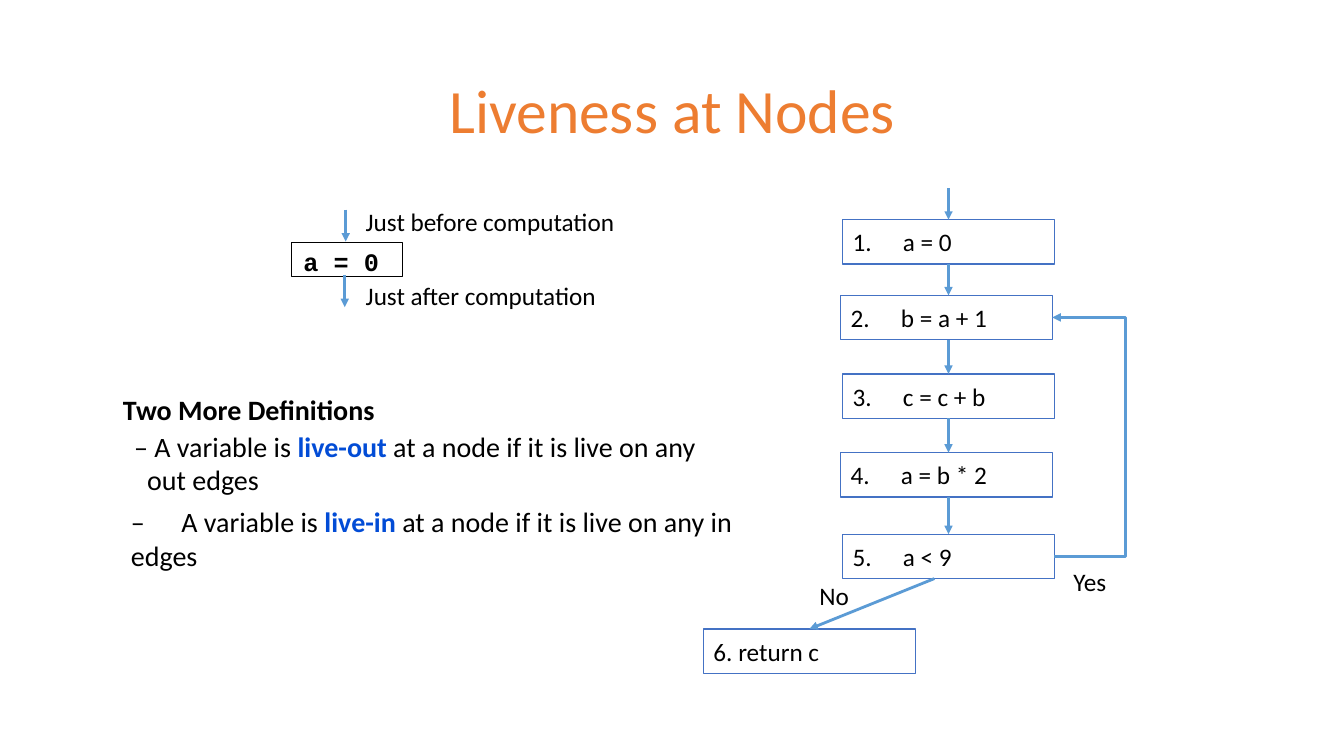
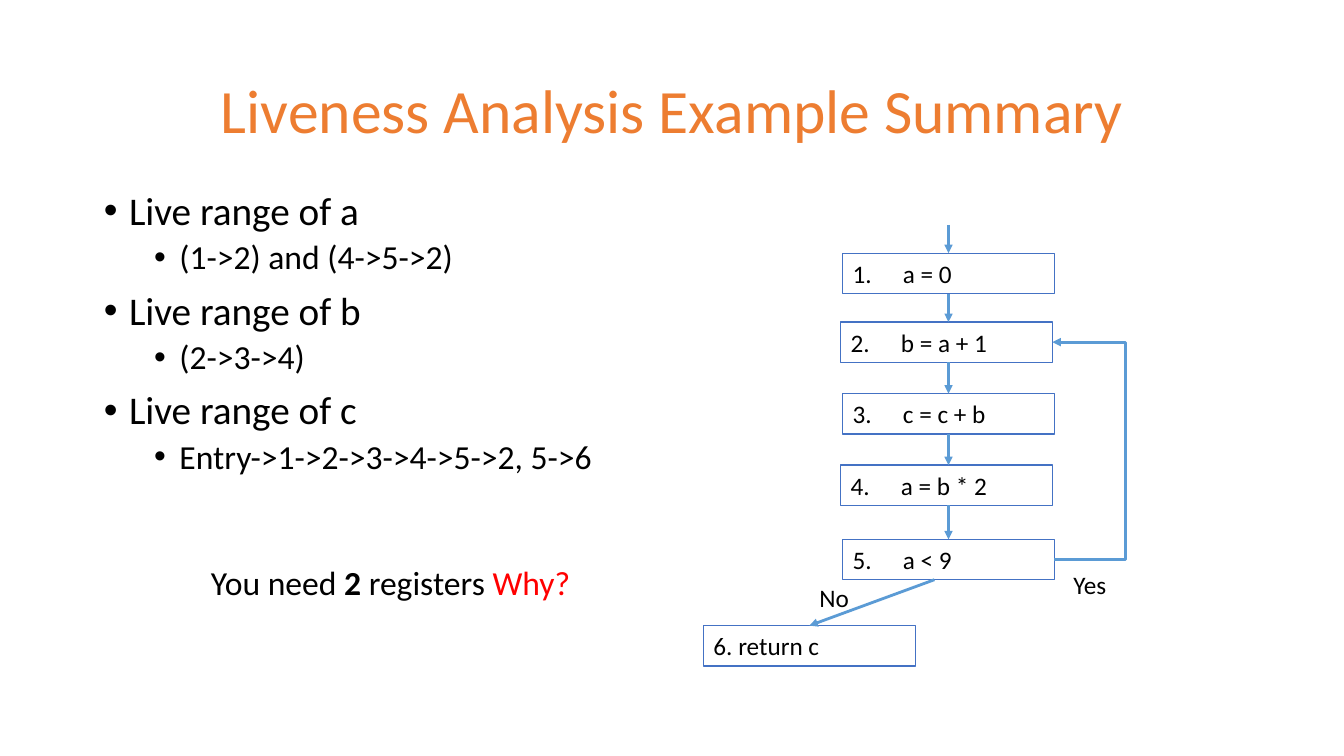
from pptx import Presentation
from pptx.dml.color import RGBColor
from pptx.enum.shapes import MSO_CONNECTOR, MSO_SHAPE
from pptx.enum.text import MSO_ANCHOR, MSO_AUTO_SIZE, PP_ALIGN
from pptx.oxml.ns import qn
from pptx.util import Inches, Pt
from lxml import etree

ORANGE = RGBColor(0xED, 0x7D, 0x31)
BLUE = RGBColor(0x44, 0x72, 0xC4)
SKY = RGBColor(0x5B, 0x9B, 0xD5)
TERM = RGBColor(0x02, 0x4C, 0xD6)
RED = RGBColor(0xFF, 0, 0)
BLACK = RGBColor(0, 0, 0)
WHITE = RGBColor(0xFF, 0xFF, 0xFF)

STRAIGHT, ELBOW = MSO_CONNECTOR.STRAIGHT, MSO_CONNECTOR.ELBOW
RECT = MSO_SHAPE.RECTANGLE
MIDDLE, TOP = MSO_ANCHOR.MIDDLE, MSO_ANCHOR.TOP
CENTER, LEFT = PP_ALIGN.CENTER, PP_ALIGN.LEFT
NO_FIT = MSO_AUTO_SIZE.NONE
CONTENT, TITLE_ONLY = 1, 5

FONT, MONO = "Calibri", "Courier New"
COLS, ROWS = 40, 22.5
CELL = Inches(13.333) / COLS

# Text, row offset and tab stop of each node
NODES = [("1.\ta = 0", 0.93, 1.23), ("2.\tb = a + 1", 3.18, 1.23),
         ("3.\tc = c + b", 5.52, 1.41), ("4.\ta = b * 2", 7.86, 1.59),
         ("5.\ta < 9", 10.29, 1.74)]
RANGES = [("Live range of a", "(1->2) and (4->5->2)"),
          ("Live range of b", "(2->3->4)"),
          ("Live range of c", "Entry->1->2->3->4->5->2, 5->6")]


def grid(*cells):
    return [round(c * CELL) for c in cells]


class Deck:
    def __init__(self):
        self.prs = Presentation()
        self.prs.slide_width, self.prs.slide_height = grid(COLS, ROWS)

    def place(self, sp, at):
        sp.left, sp.top, sp.width, sp.height = grid(*at)

    def slide(self, title, layout=TITLE_ONLY):
        self.s = self.prs.slides.add_slide(self.prs.slide_layouts[layout])
        sp = self.s.shapes.title
        self.place(sp, (2.76, 1.2, 34.5, 4.35))
        tf = sp.text_frame
        tf.auto_size, tf.vertical_anchor = NO_FIT, MIDDLE
        self.fill(tf.paragraphs[0], title, 44, ORANGE, align=CENTER, lines=0.9)

    def fill(self, p, parts, size=18, color=BLACK, bold=False, font=FONT,
             align=LEFT, lines=None, before=0, margin=0, hang=0, tab=0, bullet=None):
        """Write parts, a string or (text, colour, bold) runs, and format p."""
        if isinstance(parts, str):
            parts = [(parts, color, bold)]
        for text, run_color, run_bold in parts:
            r = p.add_run()
            r.text = text
            r.font.name, r.font.size = font, Pt(size)
            r.font.bold, r.font.color.rgb = run_bold, run_color
        p.alignment, p.space_before = align, Pt(before)
        if lines:
            p.line_spacing = lines
        pPr = p._p.get_or_add_pPr()
        left, indent = grid(margin, -hang)
        pPr.set("marL", str(left))
        pPr.set("indent", str(indent))
        if bullet:
            etree.SubElement(pPr, qn("a:buChar"), char=bullet)
        if tab:
            tabs = etree.SubElement(pPr, qn("a:tabLst"))
            etree.SubElement(tabs, qn("a:tab"), pos=str(grid(tab)[0]), algn="l")

    def text(self, at, parts, wrap=False, **style):
        tf = self.s.shapes.add_textbox(*grid(*at)).text_frame
        tf.word_wrap = wrap
        self.fill(tf.paragraphs[0], parts, **style)
        return tf

    def box(self, at, text, line=BLUE, width=1, anchor=MIDDLE, **style):
        sp = self.s.shapes.add_shape(RECT, *grid(*at))
        sp.shadow.inherit = False
        sp.fill.solid()
        sp.fill.fore_color.rgb = WHITE
        sp.line.color.rgb, sp.line.width = line, Pt(width)
        tf = sp.text_frame
        tf.vertical_anchor = anchor
        self.fill(tf.paragraphs[0], text, **style)
        return tf

    def arrow(self, x1, y1, x2, y2, kind=STRAIGHT):
        c = self.s.shapes.add_connector(kind, *grid(x1, y1, x2, y2))
        c.line.color.rgb, c.line.width = SKY, Pt(2)
        etree.SubElement(c.line._get_or_add_ln(), qn("a:tailEnd"), type="triangle")
        etree.SubElement(c._element.spPr, qn("a:effectLst"))
        return c

    def loop(self, x1, y1, x2, y2, via):
        """Elbow arrow whose upright part stands at column via."""
        c = self.arrow(x1, y1, x2, y2, ELBOW)
        share = round((via - x1) / (x2 - x1) * 100000)
        av = c._element.spPr.find(qn("a:prstGeom")).get_or_add_avLst()
        etree.SubElement(av, qn("a:gd"), name="adj1", fmla=f"val {share}")

    def flowchart(self, top, scale=1.0):
        width, height, axis = 6.3, 1.32 * scale, 28.23

        def row(offset):
            return top + offset * scale

        tops = [row(offset) for _, offset, _ in NODES]
        lefts = [25.02 if i % 2 else 25.08 for i in range(len(NODES))]
        for (text, _, tab), x, y in zip(NODES, lefts, tops):
            self.box((x, y, width, height), text, tab=tab)
        exit_x, exit_y = 20.94, row(13.11)
        self.box((exit_x, exit_y, width, height), "6. return c")

        starts = [top] + [y + height for y in tops]
        for start, end in zip(starts, tops):
            self.arrow(axis, start, axis, end)
        self.arrow(27.81, starts[-1], exit_x + width / 2, exit_y)
        self.loop(lefts[4] + width, tops[4] + height / 2,
                  lefts[1] + width, tops[1] + height / 2, via=33.48)
        self.text((24.09, row(11.52), 1.5, 1.2), "No")
        self.text((31.65, row(11.1), 1.6, 1.2), "Yes")

    def bullets(self, at, groups):
        sp = self.s.placeholders[1]
        self.place(sp, at)
        tf = sp.text_frame
        tf.auto_size, tf.vertical_anchor = NO_FIT, TOP
        p = tf.paragraphs[0]
        for i, (head, detail) in enumerate(groups):
            if i:
                p = tf.add_paragraph()
            self.fill(p, head, 28, lines=0.9, before=10,
                      margin=0.75, hang=0.75, bullet="•")
            p = tf.add_paragraph()
            p.level = 1
            self.fill(p, detail, 24, lines=0.9, before=5,
                      margin=2.25, hang=0.75, bullet="•")


def definition(lead, term, rest):
    return [(lead + "A variable is ", BLACK, False), (term, TERM, True),
            (" at a node if it is live on any " + rest, BLACK, False)]


def nodes_slide(deck):
    deck.slide("Liveness at Nodes")
    deck.flowchart(5.61)
    tf = deck.box((8.67, 7.2, 3.3, 1.02), "a = 0", line=BLACK, width=0.48,
                  anchor=TOP, bold=True, font=MONO, before=3, margin=0.36)
    tf.margin_left = tf.margin_right = tf.margin_bottom = 0
    tf.margin_top = Inches(0.04)
    deck.text((10.59, 6, 8.1, 1.2), "Just before computation")
    deck.text((10.59, 8.19, 7.56, 1.2), "Just after computation")
    for x, y in ((10.29, 6.24), (10.26, 8.19)):
        deck.arrow(x, y, x, y + 0.95)
    tf = deck.text((3.66, 11.67, 17.7, 3.12), "Two More Definitions",
                   wrap=True, size=20, bold=True)
    tf.margin_left = tf.margin_top = tf.margin_right = tf.margin_bottom = 0
    deck.fill(tf.add_paragraph(), definition("– ", "live-out", "out edges"),
              20, before=2.4, margin=0.72, hang=0.39)
    deck.text((3.6, 14.88, 20.01, 1.32), definition("–\t", "live-in", "in edges"),
              wrap=True, size=20, tab=0.78)


def summary_slide(deck):
    deck.slide("Liveness Analysis Example Summary", CONTENT)
    deck.bullets((2.79, 5.55, 17.01, 10), RANGES)
    deck.text((3.45, 16.71, 16.35, 1.5),
              [("You need ", BLACK, False), ("2", BLACK, True),
               (" registers ", BLACK, False), ("Why?", RED, False)],
              wrap=True, size=24, align=CENTER, lines=0.9)
    deck.flowchart(6.69, 0.91)


def main():
    deck = Deck()
    nodes_slide(deck)
    summary_slide(deck)
    deck.prs.save("out.pptx")


if __name__ == "__main__":
    main()
